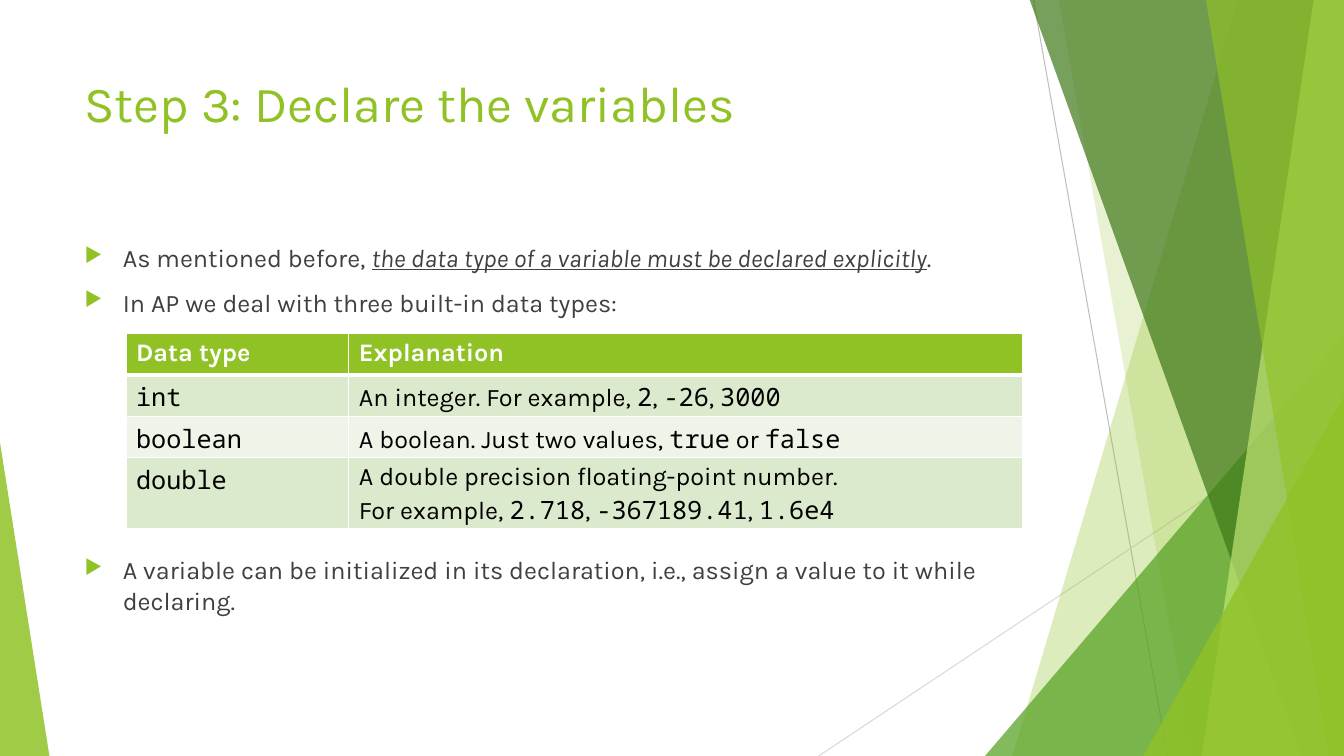
from lxml import etree
from pptx import Presentation
from pptx.dml.color import RGBColor
from pptx.enum import shapes, text
from pptx.oxml import ns
from pptx.util import Inches, Pt

COLORS = {
    "green": "90C226", "leaf": "54A021", "forest": "3F7819", "lime": "C0E474",
    "white": "FFFFFF", "black": "000000", "body": "404040",
    "band_dark": "DBE9CD", "band_light": "EEF4E8",
    "line_dark": "BFBFBF", "line_light": "D9D9D9",
}
FONT, MONO = "Karla", "Noto Sans Mono"
CODE = {"name": MONO}
STRESS = {"italic": True, "underline": True}
W, H, TOP = 13.33, 7.5, -0.01


def rgb(name):
    return RGBColor.from_string(COLORS[name])


def sub(parent, tag, **attrs):
    return etree.SubElement(parent, ns.qn(tag), {k: str(v) for k, v in attrs.items()})


class Deck:
    def __init__(self, prs):
        self.s = prs.slides.add_slide(prs.slide_layouts[6])

    def paint(self, sp, color, opacity):
        sp.shadow.inherit = False
        sp.fill.solid()
        sp.fill.fore_color.rgb = rgb(color)
        sp.line.fill.background()
        clr = sp._element.spPr.find(ns.qn("a:solidFill"))[0]
        sub(clr, "a:alpha", val=opacity * 1000)

    def line(self, x1, y1, x2, y2, color):
        c = self.s.shapes.add_connector(
            shapes.MSO_CONNECTOR.STRAIGHT, *map(Inches, (x1, y1, x2, y2)))
        c.line.color.rgb = rgb(color)
        c.line.width = Pt(0.75)
        sub(c._element.spPr, "a:effectLst")

    def shard(self, top_x, bottom_x, color, opacity):
        """Band from a slanted left edge to the right side of the slide."""
        fb = self.s.shapes.build_freeform(Inches(top_x), Inches(TOP))
        corners = [(W, TOP), (W, H), (bottom_x, H)]
        fb.add_line_segments([(Inches(x), Inches(y)) for x, y in corners])
        self.paint(fb.convert_to_shape(), color, opacity)

    def triangle(self, x, y, w, h, apex, color, opacity):
        sp = self.s.shapes.add_shape(
            shapes.MSO_SHAPE.ISOSCELES_TRIANGLE, *map(Inches, (x, y, w, h)))
        sp.adjustments[0] = apex
        self.paint(sp, color, opacity)

    def fill_text(self, p, content, color, size=18, bold=False, marked=CODE):
        """Fill a paragraph; parts between backticks get the marked style."""
        p.font.name, p.font.size, p.font.bold = FONT, Pt(size), bold
        p.font.color.rgb = rgb(color)
        for i, part in enumerate(content.split("`")):
            if part:
                r = p.add_run()
                r.text = part
                if i % 2:
                    for key, value in marked.items():
                        setattr(r.font, key, value)

    def textbox(self, x, y, w, h):
        tf = self.s.shapes.add_textbox(*map(Inches, (x, y, w, h))).text_frame
        tf.word_wrap = True
        tf.vertical_anchor = text.MSO_ANCHOR.TOP
        return tf

    def title(self, content, *box):
        self.fill_text(self.textbox(*box).paragraphs[0], content, "green", 36)

    def bullets(self, items, *box):
        tf = self.textbox(*box)
        for i, (content, before) in enumerate(items):
            p = tf.add_paragraph() if i else tf.paragraphs[0]
            p.space_before = Pt(before)
            pPr = p._p.get_or_add_pPr()
            pPr.set("marL", str(Inches(0.38)))
            pPr.set("indent", str(-Inches(0.38)))
            sub(sub(pPr, "a:buClr"), "a:srgbClr", val=COLORS["green"])
            sub(pPr, "a:buSzPct", val=80000)
            sub(pPr, "a:buChar", char="▶")
            self.fill_text(p, content, "body", marked=STRESS)

    def borders(self, cell, **widths):
        tcPr = cell._tc.get_or_add_tcPr()
        for side in "LRTB":
            ln = sub(tcPr, "a:ln" + side, w=Pt(widths.get(side, 1)))
            sub(sub(ln, "a:solidFill"), "a:srgbClr", val=COLORS["white"])

    def table(self, rows, x, y, widths, heights):
        tbl = self.s.shapes.add_table(
            len(rows), len(widths), Inches(x), Inches(y),
            Inches(sum(widths)), Inches(sum(heights))).table
        for col, width in zip(tbl.columns, widths):
            col.width = Inches(width)
        for i, row in enumerate(rows):
            tbl.rows[i].height = Inches(heights[i])
            for j, lines in enumerate(row):
                cell = tbl.cell(i, j)
                self.borders(cell, **{0: {"B": 3}, 1: {"T": 3}}.get(i, {}))
                cell.fill.solid()
                fill = ("band_dark" if i % 2 else "band_light") if i else "green"
                cell.fill.fore_color.rgb = rgb(fill)
                for k, content in enumerate(lines.split("\n")):
                    tf = cell.text_frame
                    p = tf.add_paragraph() if k else tf.paragraphs[0]
                    self.fill_text(p, content, "black" if i else "white", bold=not i)


def main():
    prs = Presentation()
    prs.slide_width, prs.slide_height = Inches(W), Inches(H)
    deck = Deck(prs)

    # Faceted decoration, back to front
    deck.line(10.25, 0, 11.58, H, "line_dark")
    deck.line(W, 4.03, 8.12, H, "line_light")
    deck.shard(12.28, 10.04, "green", 30)
    deck.shard(10.5, 11.83, "green", 20)
    deck.triangle(9.77, 3.33, 3.56, 4.17, 1, "leaf", 72)
    deck.shard(10.21, 12.91, "forest", 70)
    deck.shard(13.03, 11.92, "lime", 70)
    deck.shard(11.96, 13.18, "green", 65)
    deck.triangle(11.34, 3.93, 1.99, 3.57, 1, "green", 80)
    deck.triangle(0, 4.39, 0.49, 3.11, 0, "green", 85)

    # Title and bullets; the last bullet leaves room for the table
    deck.title("Step 3: Declare the variables", 0.74, 0.67, 9.4, 1.44)
    deck.bullets([
        ("As mentioned before, `the data type of a variable must be "
         "declared explicitly`.", 0),
        ("In AP we deal with three built-in data types:", 10),
        ("A variable can be initialized in its declaration, i.e., assign a "
         "value to it while declaring.", 169.5),
    ], 0.74, 2.36, 9.4, 4.24)

    # Data types
    deck.table([
        ("Data type", "Explanation"),
        ("`int`", "An integer. For example, `2`, `-26`, `3000`"),
        ("`boolean`", "A boolean. Just two values, `true` or `false`"),
        ("`double`", "A double precision floating-point number.\n"
                     "For example, `2.718`, `-367189.41`, `1.6e4`"),
    ], 1.25, 3.31, (2.21, 6.68), (0.41, 0.41, 0.41, 0.69))

    prs.save("out.pptx")


if __name__ == "__main__":
    main()
